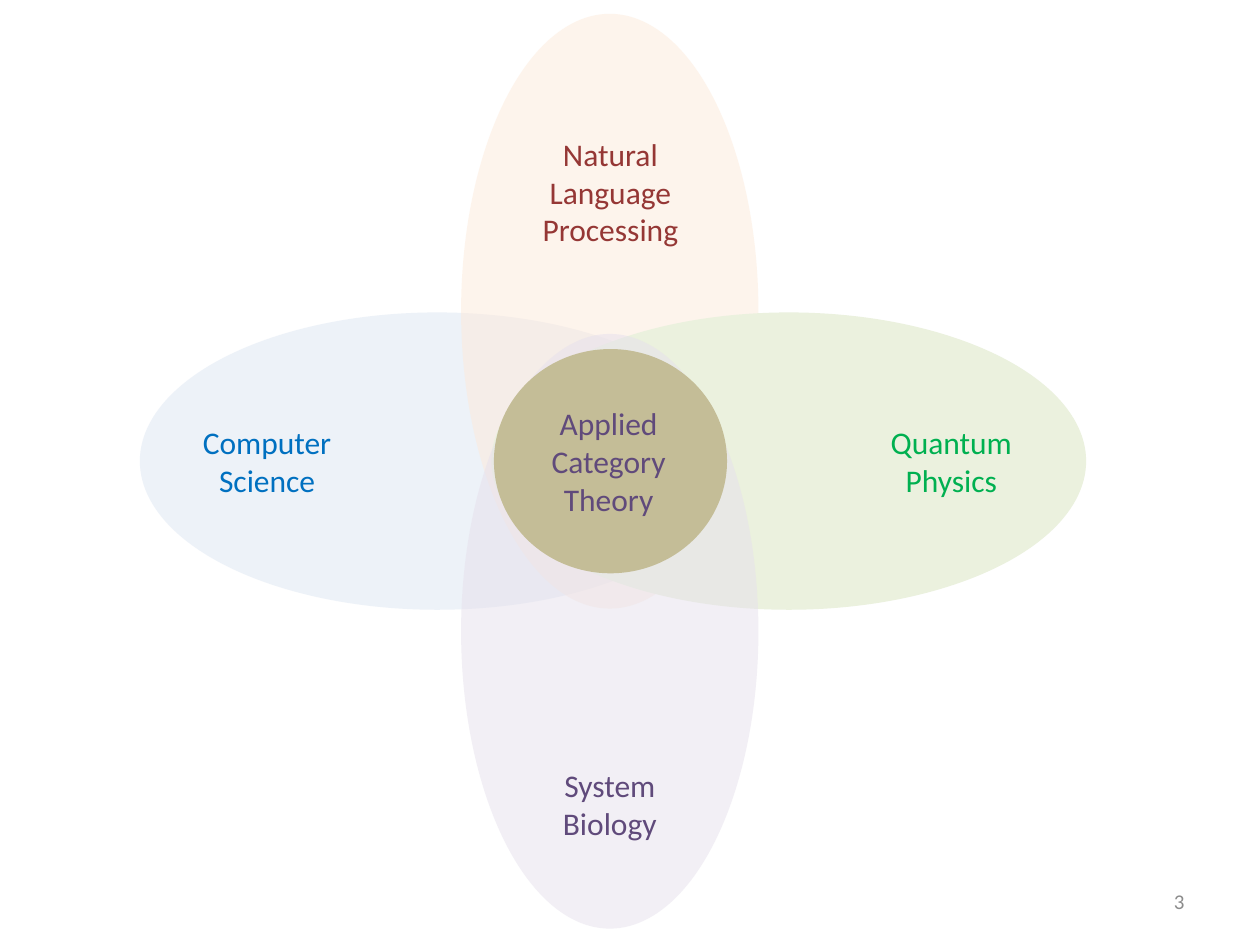
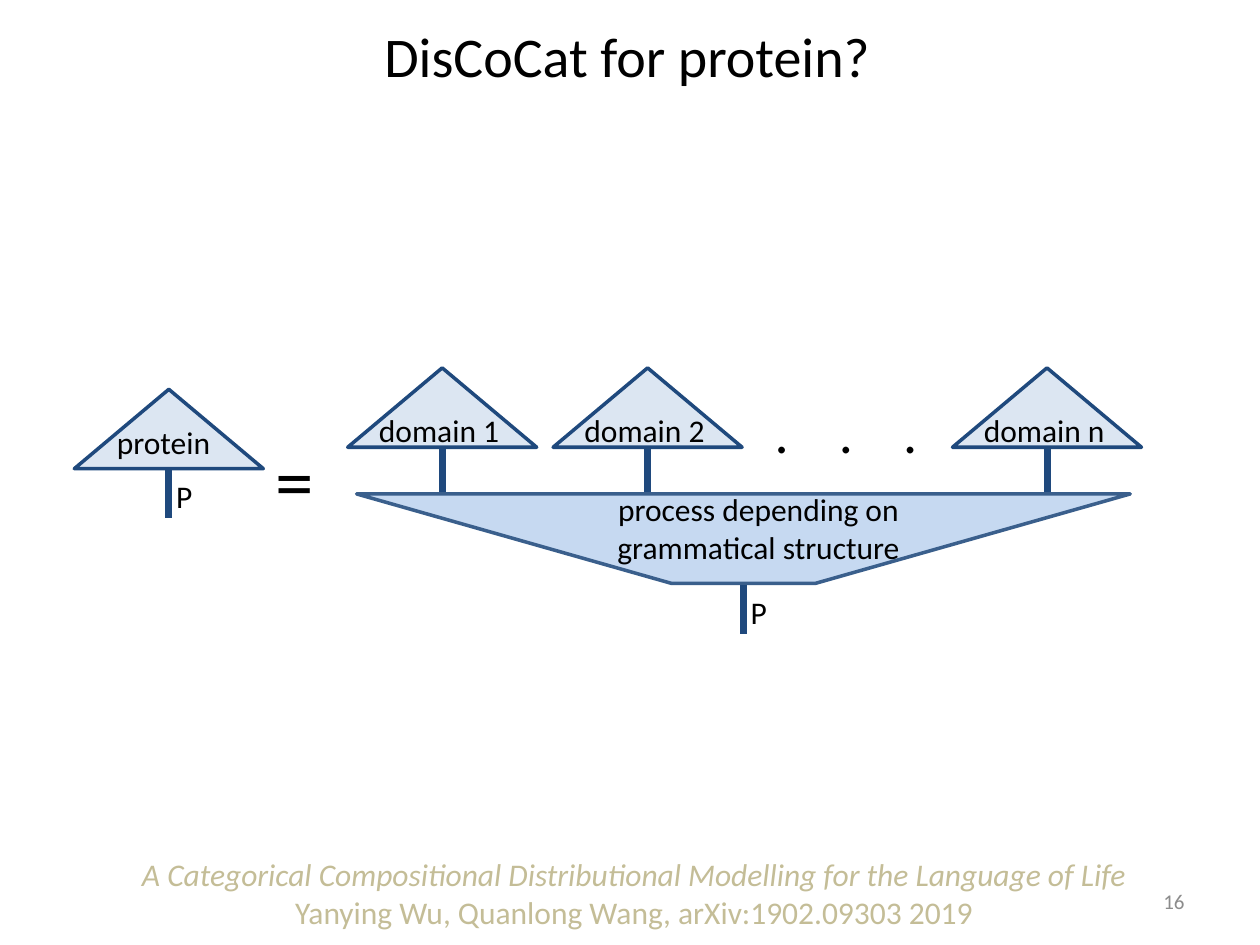
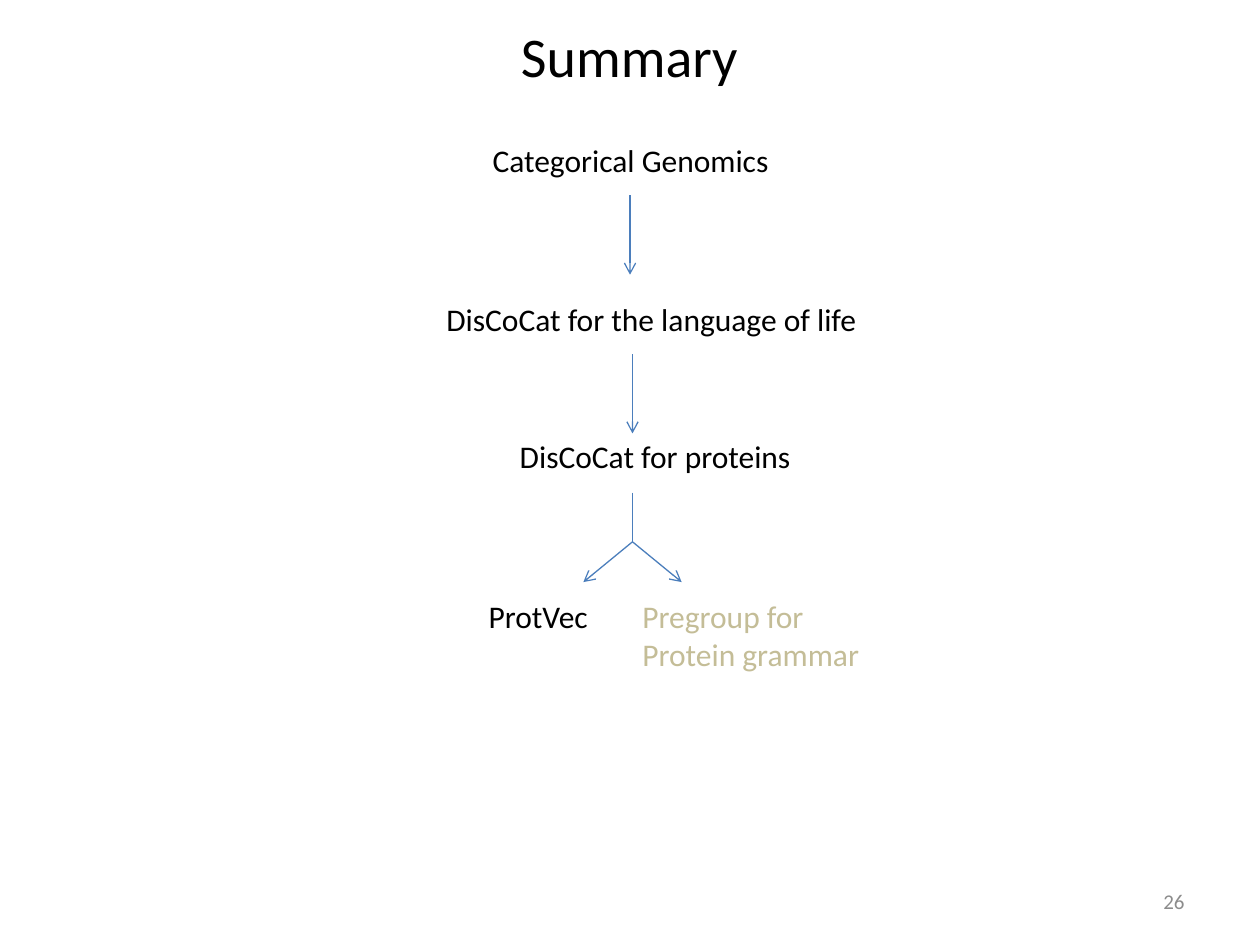
from lxml import etree
from pptx import Presentation
from pptx.dml.color import RGBColor
from pptx.enum.shapes import MSO_CONNECTOR, MSO_SHAPE
from pptx.enum.text import MSO_ANCHOR, PP_ALIGN
from pptx.oxml.ns import qn
from pptx.util import Inches, Pt

LEFT, CENTER, RIGHT = PP_ALIGN.LEFT, PP_ALIGN.CENTER, PP_ALIGN.RIGHT
TOP, MIDDLE = MSO_ANCHOR.TOP, MSO_ANCHOR.MIDDLE
ELLIPSE, TRIANGLE, TRAPEZOID = (
    MSO_SHAPE.OVAL, MSO_SHAPE.ISOSCELES_TRIANGLE, MSO_SHAPE.TRAPEZOID)
STRAIGHT = MSO_CONNECTOR.STRAIGHT
TITLE_ONLY, BLANK = 5, 6

FONT = "Calibri"
COLORS = {
    "black": "000000", "gray": "8C8C8C", "tan": "C4BD97",
    "blue": "0070C0", "green": "00B050", "red": "953735", "purple": "604A7B",
    "pale blue": "DCE6F2", "pale orange": "FDEADA",
    "pale green": "EBF1DE", "pale purple": "E6E0EC",
    "process": "C6D9F1", "process edge": "3A5F8C",
    "navy": "1F497D", "arrow": "4B7EBC",
}


def rgb(name):
    return RGBColor.from_string(COLORS[name])


def write(frame, *lines, size=18, color="black", align=LEFT, anchor=TOP,
          italic_lines=(), tabs=()):
    """Fill a text frame with one paragraph per line."""
    frame.word_wrap = True
    frame.vertical_anchor = anchor
    for i, line in enumerate(lines):
        paragraph = frame.paragraphs[0] if i == 0 else frame.add_paragraph()
        paragraph.alignment = align
        run = paragraph.add_run()
        run.text = line
        run.font.name = FONT
        run.font.size = Pt(size)
        run.font.italic = i in italic_lines
        run.font.color.rgb = rgb(color)
        if tabs:
            stops = etree.SubElement(paragraph._p.get_or_add_pPr(), qn("a:tabLst"))
            for stop in tabs:
                etree.SubElement(stops, qn("a:tab"), pos=str(Inches(stop)), algn="l")


class Deck:
    """Holds the shared style and the current slide."""

    def __init__(self):
        self.prs = Presentation()
        self.prs.slide_width, self.prs.slide_height = Inches(10), Inches(7.5)
        self.slide = None

    def new_slide(self, number, title=None, title_align=CENTER):
        layout = self.prs.slide_layouts[TITLE_ONLY if title else BLANK]
        self.slide = self.prs.slides.add_slide(layout)
        if title:
            heading = self.slide.shapes.title
            heading.left, heading.top = Inches(2.95), Inches(0.12)
            heading.width, heading.height = Inches(4.09), Inches(0.64)
            write(heading.text_frame, title, size=32, align=title_align)
        self.text(7.17, 6.95, 2.33, 0.4, str(number), size=12, color="gray",
                  align=RIGHT, anchor=MIDDLE)

    def text(self, left, top, width, height, *lines, **style):
        box = self.slide.shapes.add_textbox(
            Inches(left), Inches(top), Inches(width), Inches(height))
        write(box.text_frame, *lines, **style)

    def shape(self, kind, left, top, width, height, fill, opacity=100, edge=None):
        shape = self.slide.shapes.add_shape(
            kind, Inches(left), Inches(top), Inches(width), Inches(height))
        shape.shadow.inherit = False
        shape.fill.solid()
        shape.fill.fore_color.rgb = rgb(fill)
        if opacity < 100:
            tint = shape.fill._xPr.find(".//" + qn("a:srgbClr"))
            etree.SubElement(tint, qn("a:alpha"), val=str(opacity * 1000))
        if edge:
            shape.line.color.rgb = rgb(edge)
            shape.line.width = Pt(2)
        else:
            shape.line.fill.background()
        return shape

    def line(self, x1, y1, x2, y2, color="arrow", width=0.75, arrow=False):
        line = self.slide.shapes.add_connector(
            STRAIGHT, Inches(x1), Inches(y1), Inches(x2), Inches(y2))
        line.line.color.rgb = rgb(color)
        line.line.width = Pt(width)
        if arrow:
            etree.SubElement(line.line._get_or_add_ln(), qn("a:tailEnd"), type="arrow")
        etree.SubElement(line._element.spPr, qn("a:effectLst"))

    def wire(self, x, top):
        self.line(x, top, x, top + 0.39, color="navy", width=4)

    def state(self, left, top, name, label_dx=0.15, label_dy=0.29):
        """Triangle with an output wire and a name."""
        self.shape(TRIANGLE, left, top, 1.5, 0.63, "pale blue", edge="navy")
        self.wire(left + 0.75, top + 0.63)
        self.text(left + label_dx, top + label_dy, 1.26, 0.4, name)


def fields_slide(deck):
    deck.new_slide(3)
    # Overlapping fields
    long, short = 4.72, 2.36
    for left, top, width, height, fill, opacity in (
            (1.11, 2.48, long, short, "pale blue", 50),
            (3.66, 0.11, short, long, "pale orange", 50),
            (3.9, 2.48, long, short, "pale green", 100),
            (3.66, 2.65, short, long, "pale purple", 50),
            (3.92, 2.77, 1.85, 1.78, "tan", 100)):
        deck.shape(ELLIPSE, left, top, width, height, fill, opacity)
    # Field names
    for left, top, width, color, lines in (
            (1.38, 3.31, 1.48, "blue", ["Computer Science"]),
            (6.81, 3.31, 1.48, "green", ["Quantum", "Physics"]),
            (3.98, 1.02, 1.73, "red", ["Natural Language", "Processing"]),
            (4.1, 6.03, 1.48, "purple", ["System", "Biology"]),
            (4.09, 3.16, 1.48, "purple", ["Applied Category", "Theory"])):
        deck.text(left, top, width, 0.71, *lines, color=color, align=CENTER)


def protein_slide(deck):
    deck.new_slide(16, "DisCoCat for protein?", title_align=LEFT)
    # Protein on the left of the equation
    deck.state(0.59, 3.09, "protein", label_dx=0.24, label_dy=0.22)
    deck.text(1.3, 3.74, 0.31, 0.4, "P")
    deck.text(2.09, 3.38, 0.51, 0.84, "=", size=44)
    # Domains on the right
    for left, name in ((2.76, "domain 1"), (4.39, "domain 2"), (7.56, "domain n")):
        deck.state(left, 2.92, name)
    deck.text(6.05, 3.11, 1.65, 0.64, ".\t.\t.", size=32, tabs=(0.51, 1.02))
    # Process that joins the domains
    process = deck.shape(TRAPEZOID, 2.83, 3.92, 6.14, 0.71, "process",
                         edge="process edge")
    process.rotation = 180
    process.adjustments[0] = 3.52
    deck.wire(5.9, 4.64)
    deck.text(5.86, 4.66, 0.31, 0.4, "P")
    deck.text(4.73, 3.84, 2.58, 0.71, "process depending on",
              "grammatical structure", align=CENTER)
    # Reference
    deck.text(1.02, 6.74, 8.03, 0.71,
              "A Categorical Compositional Distributional Modelling for the Language of Life",
              "Yanying Wu, Quanlong Wang, arXiv:1902.09303 2019",
              color="tan", align=CENTER, italic_lines=(0,))


def summary_slide(deck):
    deck.new_slide(26, "Summary")
    # Steps from the general to the specific
    for left, top, width, step in (
            (3.43, 1.07, 3.15, "Categorical Genomics"),
            (3.24, 2.33, 3.86, "DisCoCat for the language of life"),
            (3.27, 3.42, 3.86, "DisCoCat for proteins")):
        deck.text(left, top, width, 0.4, step, align=CENTER)
    for x, top in ((5, 1.55), (5.02, 2.81)):
        deck.line(x, top, x, top + 0.63, arrow=True)
    # Fork into two parts
    fork_x, fork_y = 5.02, 4.3
    deck.line(fork_x, 3.91, fork_x, fork_y)
    for reach in (-0.39, 0.39):
        deck.line(fork_x, fork_y, fork_x + reach, 4.62, arrow=True)
    deck.text(3.78, 4.69, 1.04, 0.4, "ProtVec")
    deck.text(5, 4.69, 2.05, 0.71, "Pregroup for Protein grammar", color="tan")


def main():
    deck = Deck()
    fields_slide(deck)
    protein_slide(deck)
    summary_slide(deck)
    deck.prs.save("out.pptx")


if __name__ == "__main__":
    main()
